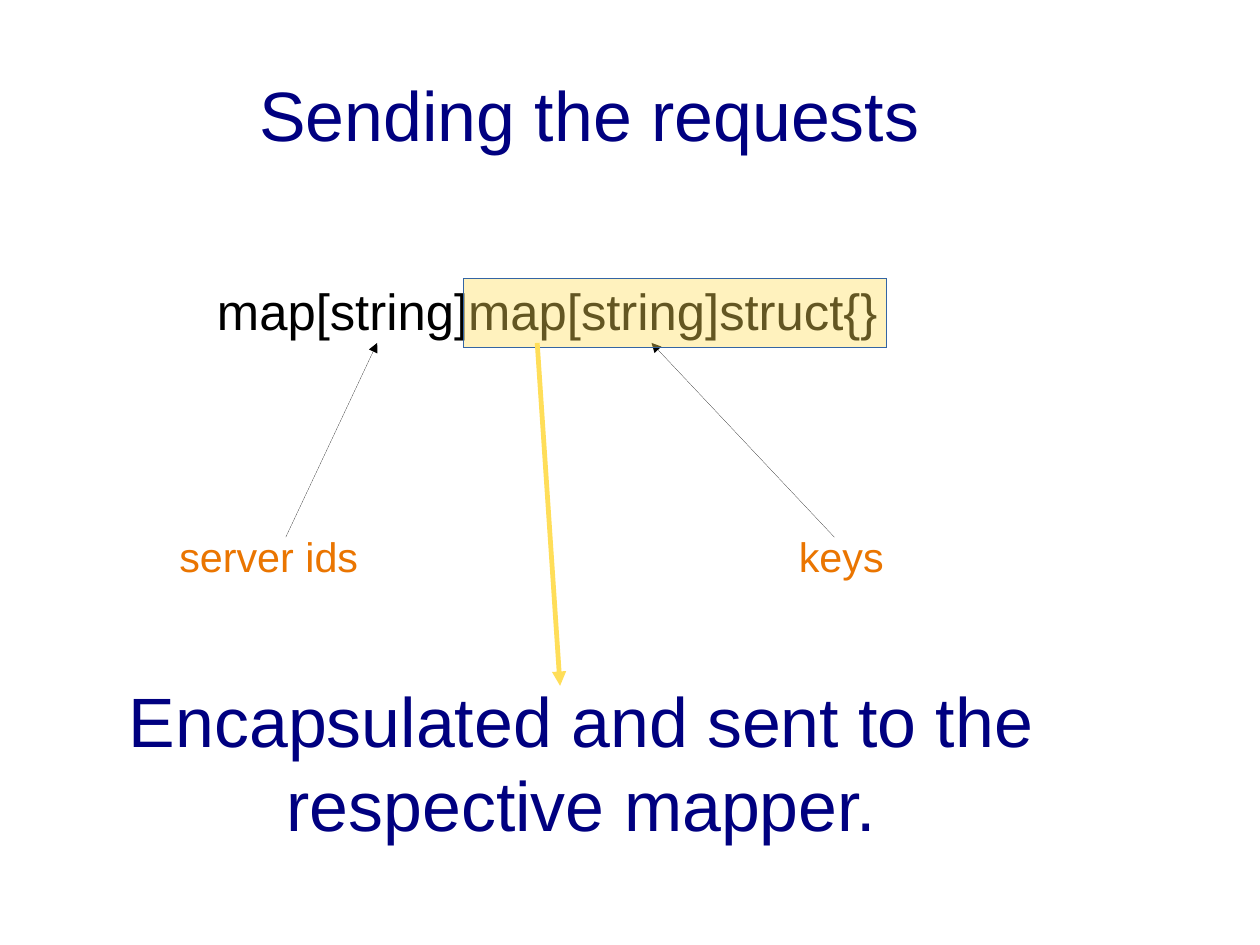
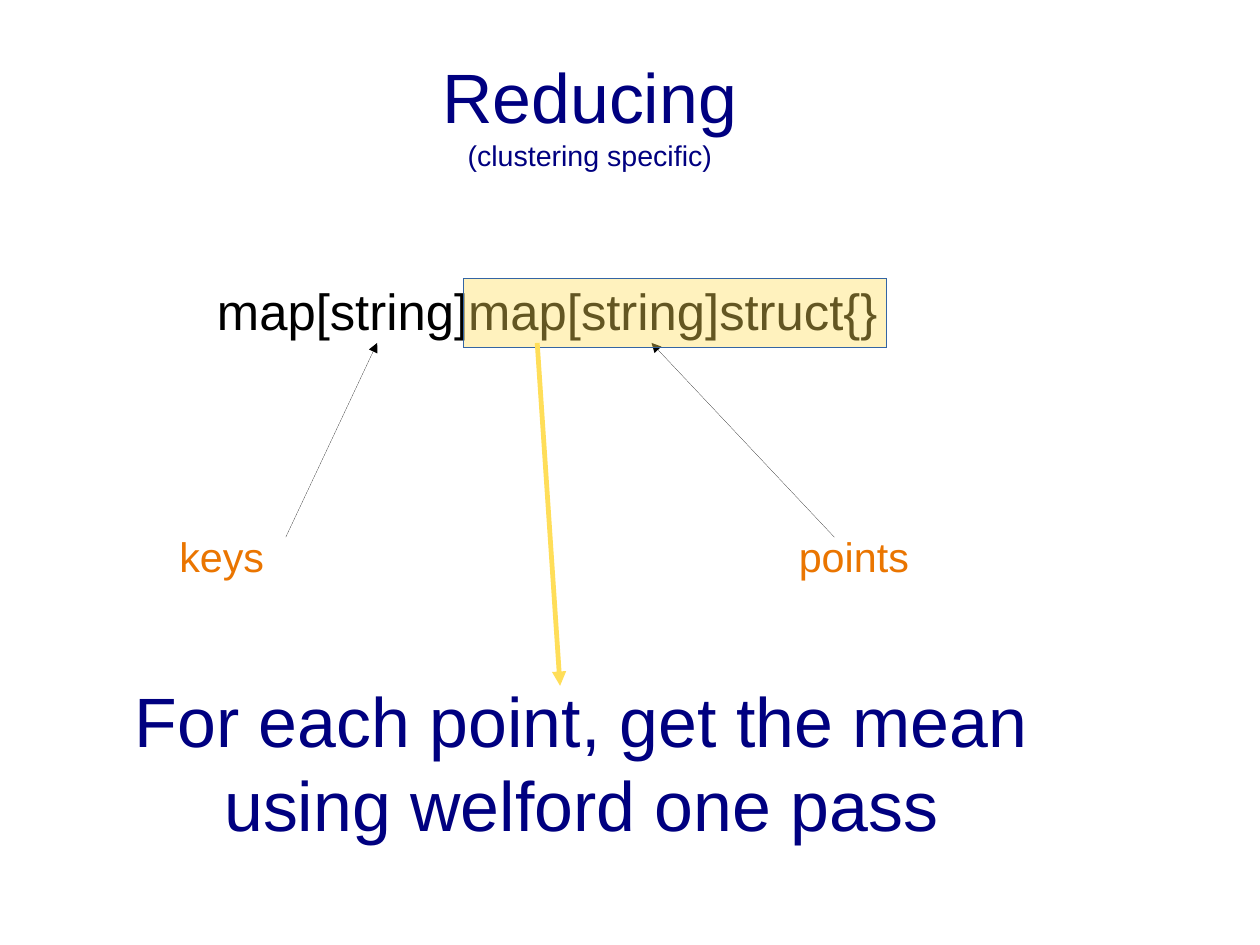
from dataclasses import dataclass

from lxml import etree
from pptx import Presentation
from pptx.dml.color import RGBColor
from pptx.enum.shapes import MSO_CONNECTOR, MSO_SHAPE
from pptx.enum.text import MSO_ANCHOR, PP_ALIGN
from pptx.oxml.ns import qn
from pptx.util import Inches, Pt

STRAIGHT = MSO_CONNECTOR.STRAIGHT
RECTANGLE = MSO_SHAPE.RECTANGLE
TOP, MIDDLE = MSO_ANCHOR.TOP, MSO_ANCHOR.MIDDLE
LEFT, CENTER = PP_ALIGN.LEFT, PP_ALIGN.CENTER
CM_PER_INCH = 2.54


@dataclass(frozen=True)
class Theme:
    font: str = "Arial"
    navy: str = "000080"
    black: str = "000000"
    orange: str = "EA7500"
    yellow: str = "FFDE59"
    blue: str = "3465A4"
    title_size: int = 44
    subtitle_size: int = 18
    code_size: int = 32
    label_size: int = 26
    hairline: int = 0
    thick: int = 3
    highlight_opacity: int = 39


class Deck:
    """Holds the style and the slide being drawn."""

    def __init__(self, theme):
        self.theme = theme
        self.presentation = Presentation()
        # The page is 28 by 21 cm
        self.presentation.slide_width = Inches(28 / CM_PER_INCH)
        self.presentation.slide_height = Inches(21 / CM_PER_INCH)
        self.slide = None

    def new_slide(self):
        blank_layout = self.presentation.slide_layouts[6]
        self.slide = self.presentation.slides.add_slide(blank_layout)

    def text(self, box, text, sizes, color, align=LEFT, anchor=TOP, margins=(0.1, 0.05)):
        """Add a text box; each line of the text takes its own size."""
        shape = self.slide.shapes.add_textbox(*map(Inches, box))
        frame = shape.text_frame
        frame.word_wrap = True
        frame.vertical_anchor = anchor
        frame.margin_left = frame.margin_right = Inches(margins[0])
        frame.margin_top = frame.margin_bottom = Inches(margins[1])
        paragraph = frame.paragraphs[0]
        paragraph.text = text
        paragraph.alignment = align
        for run, size in zip(paragraph.runs, sizes):
            run.font.name = self.theme.font
            run.font.size = Pt(size)
            run.font.color.rgb = RGBColor.from_string(color)

    def headline(self, box, text):
        sizes = (self.theme.title_size, self.theme.subtitle_size)
        self.text(box, text, sizes, self.theme.navy, CENTER, MIDDLE, (0, 0))

    def code(self, box, text):
        self.text(box, text, [self.theme.code_size], self.theme.black)

    def label(self, box, text):
        self.text(box, text, [self.theme.label_size], self.theme.orange)

    def outline(self, shape, color, width):
        """Set the line and drop the default style, which would thicken hairlines."""
        shape.line.color.rgb = RGBColor.from_string(color)
        shape.line.width = Pt(width)
        shape.element.remove(shape.element.find(qn("p:style")))

    def arrow(self, start, end, color, width):
        connector = self.slide.shapes.add_connector(
            STRAIGHT, *map(Inches, (*start, *end)))
        self.outline(connector, color, width)
        properties = connector.element.spPr
        etree.SubElement(properties.find(qn("a:ln")), qn("a:tailEnd"), type="triangle")
        etree.SubElement(properties, qn("a:effectLst"))

    def highlight(self, box):
        shape = self.slide.shapes.add_shape(RECTANGLE, *map(Inches, box))
        shape.shadow.inherit = False
        shape.fill.solid()
        shape.fill.fore_color.rgb = RGBColor.from_string(self.theme.yellow)
        self.outline(shape, self.theme.blue, self.theme.hairline)
        color = shape.element.spPr.find(qn("a:solidFill")).find(qn("a:srgbClr"))
        etree.SubElement(color, qn("a:alpha"),
                         val=str(self.theme.highlight_opacity * 1000))

    def map_slide(self, title, outer_key, inner_key, conclusion):
        """Explain the two key levels of the nested map."""
        theme = self.theme
        self.new_slide()
        self.headline((0.2, 0.3, 9.92, 1.38), title)

        # Map type and the names of its keys
        self.code((1.8, 2.4, 8.04, 0.9), "map[string]map[string]struct{}")
        self.label((6.89, 4.6, 2.48, 0.91), inner_key)
        self.label((1.47, 4.6, 2.48, 0.8), outer_key)
        for label_x, key_x in ((2.5, 3.3), (7.3, 5.7)):
            self.arrow((label_x, 4.7), (key_x, 3), theme.black, theme.hairline)

        # Inner map and what happens to it
        self.highlight((4.06, 2.44, 3.7, 0.6))
        self.arrow((4.7, 3), (4.9, 6), theme.yellow, theme.thick)
        self.headline((0.48, 5.73, 9.22, 1.87), conclusion)


def main():
    deck = Deck(Theme())
    deck.map_slide("Sending the requests", "server ids", "keys",
                   "Encapsulated and sent to the respective mapper.")
    deck.map_slide("Reducing\n(clustering specific)", "keys", "points",
                   "For each point, get the mean using welford one pass")
    deck.presentation.save("out.pptx")


if __name__ == "__main__":
    main()
